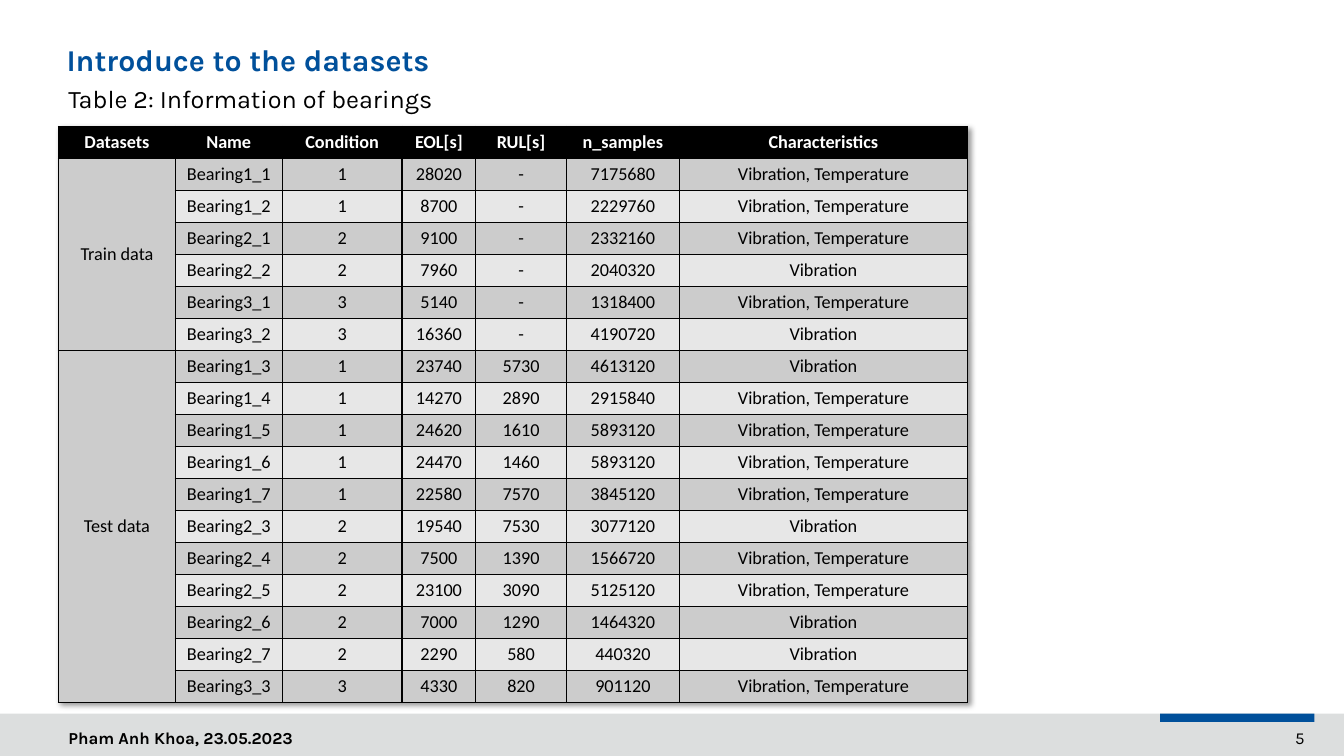
from lxml import etree
from pptx import Presentation
from pptx.dml.color import RGBColor
from pptx.enum import shapes, text
from pptx.oxml import parse_xml
from pptx.oxml.ns import nsdecls
from pptx.util import Pt

SLIDE_W, SLIDE_H = 960, 540
MARGIN = 41.76
BLACK, WHITE, BLUE, FOOTER_GREY = "000000", "FFFFFF", "00509B", "DCDEDE"
BAND_DARK, BAND_LIGHT = "CCCCCC", "E7E7E7"

HEADINGS = ["Datasets", "Name", "Condition", "EOL[s]", "RUL[s]", "n_samples", "Characteristics"]
COLUMN_WIDTHS = [83.5, 76.3, 85.7, 52.6, 64.8, 80.6, 205.9]
ROW_HEIGHT = 22.8
VIB, BOTH = "Vibration", "Vibration, Temperature"
# Name, condition, end of life, remaining life, samples, characteristics
DATASETS = {
    "Train data": [
        ("Bearing1_1", 1, 28020, "-", 7175680, BOTH),
        ("Bearing1_2", 1, 8700, "-", 2229760, BOTH),
        ("Bearing2_1", 2, 9100, "-", 2332160, BOTH),
        ("Bearing2_2", 2, 7960, "-", 2040320, VIB),
        ("Bearing3_1", 3, 5140, "-", 1318400, BOTH),
        ("Bearing3_2", 3, 16360, "-", 4190720, VIB),
    ],
    "Test data": [
        ("Bearing1_3", 1, 23740, 5730, 4613120, VIB),
        ("Bearing1_4", 1, 14270, 2890, 2915840, BOTH),
        ("Bearing1_5", 1, 24620, 1610, 5893120, BOTH),
        ("Bearing1_6", 1, 24470, 1460, 5893120, BOTH),
        ("Bearing1_7", 1, 22580, 7570, 3845120, BOTH),
        ("Bearing2_3", 2, 19540, 7530, 3077120, VIB),
        ("Bearing2_4", 2, 7500, 1390, 1566720, BOTH),
        ("Bearing2_5", 2, 23100, 3090, 5125120, BOTH),
        ("Bearing2_6", 2, 7000, 1290, 1464320, VIB),
        ("Bearing2_7", 2, 2290, 580, 440320, VIB),
        ("Bearing3_3", 3, 4330, 820, 901120, BOTH),
    ],
}


def rgb(hex_colour):
    return RGBColor.from_string(hex_colour)


def style_text(paragraph, size, colour=BLACK, bold=False, font="Karla", align=text.PP_ALIGN.LEFT):
    paragraph.alignment = align
    for run in paragraph.runs:
        run.font.name, run.font.size, run.font.bold = font, Pt(size), bold
        run.font.color.rgb = rgb(colour)


def add_bar(slide, left, top, width, height, colour):
    bar = slide.shapes.add_shape(
        shapes.MSO_SHAPE.RECTANGLE, Pt(left), Pt(top), Pt(width), Pt(height))
    bar.shadow.inherit = False
    bar.fill.solid()
    bar.fill.fore_color.rgb = rgb(colour)
    bar.line.fill.background()


def add_label(slide, left, top, width, height, words, size, **style):
    frame = slide.shapes.add_textbox(Pt(left), Pt(top), Pt(width), Pt(height)).text_frame
    frame.word_wrap = True
    frame.text = words
    style_text(frame.paragraphs[0], size, **style)
    return frame


def add_footer(slide, left, top, width, height):
    add_bar(slide, left, top, width, height, FOOTER_GREY)
    accent_w, right = 110.2, left + width - 21.1
    add_label(slide, right - 140.4, top + 6.5, 140.4, 23.8, "5", 12,
              align=text.PP_ALIGN.RIGHT)
    add_bar(slide, right - accent_w, top, accent_w, 5.8, BLUE)
    add_label(slide, left + MARGIN, top + 6.5, 525.6, 23.8,
              "Pham Anh Khoa, 23.05.2023", 12, bold=True)


def add_heading(slide, left, top, width):
    title = add_label(slide, left, top, width, 23.8, "Introduce to the datasets", 21.6,
                      colour=BLUE, bold=True)
    title.vertical_anchor = text.MSO_ANCHOR.BOTTOM
    title.margin_left, title.margin_bottom = Pt(5.8), 0
    title.paragraphs[0].line_spacing = 0.9
    add_label(slide, left, top + 24.5, 525.6, 28.8, "Table 2: Information of bearings", 18)


def fill_cell(cell, words, fill, colour=BLACK, bold=False):
    cell.text = str(words)
    cell.vertical_anchor = text.MSO_ANCHOR.MIDDLE
    style_text(cell.text_frame.paragraphs[0], 13, colour, bold, "Calibri", text.PP_ALIGN.CENTER)
    # Borders come before the fill in the cell properties
    for side in ("lnL", "lnR", "lnT", "lnB"):
        cell._tc.get_or_add_tcPr().append(parse_xml(
            f'<a:{side} {nsdecls("a")} w="12700"><a:solidFill>'
            f'<a:srgbClr val="{BLACK}"/></a:solidFill></a:{side}>'))
    cell.fill.solid()
    cell.fill.fore_color.rgb = rgb(fill)


def add_bearing_table(slide, left, top):
    row_count = 1 + sum(len(bearings) for bearings in DATASETS.values())
    table = slide.shapes.add_table(
        row_count, len(HEADINGS), Pt(left), Pt(top),
        Pt(sum(COLUMN_WIDTHS)), Pt(ROW_HEIGHT * row_count)).table
    for column, width in zip(table.columns, COLUMN_WIDTHS):
        column.width = Pt(width)
    for row in table.rows:
        row.height = Pt(ROW_HEIGHT)

    # Soft shadow towards the lower right
    table._tbl.tblPr.insert(0, etree.fromstring(
        f'<a:effectLst {nsdecls("a")}><a:outerShdw blurRad="50800" dist="38100" dir="2700000" '
        f'algn="tl" rotWithShape="0"><a:srgbClr val="{BLACK}"><a:alpha val="40000"/>'
        '</a:srgbClr></a:outerShdw></a:effectLst>'))

    for column, heading in enumerate(HEADINGS):
        fill_cell(table.cell(0, column), heading, BLACK, WHITE, True)

    # One merged label cell per dataset, then its banded rows
    first = 1
    for dataset, bearings in DATASETS.items():
        for row, bearing in enumerate(bearings, first):
            fill_cell(table.cell(row, 0), dataset if row == first else "", BAND_DARK)
            for column, value in enumerate(bearing, 1):
                fill_cell(table.cell(row, column), value, BAND_DARK if row % 2 else BAND_LIGHT)
        table.cell(first, 0).merge(table.cell(first + len(bearings) - 1, 0))
        first += len(bearings)


def main():
    deck = Presentation()
    deck.slide_width, deck.slide_height = Pt(SLIDE_W), Pt(SLIDE_H)
    slide = deck.slides.add_slide(deck.slide_layouts[6])
    add_footer(slide, 0, 509.8, SLIDE_W, SLIDE_H - 509.8)
    add_heading(slide, MARGIN, 31.7, 851.8)
    add_bearing_table(slide, MARGIN, 90.4)
    deck.save("out.pptx")


if __name__ == "__main__":
    main()
